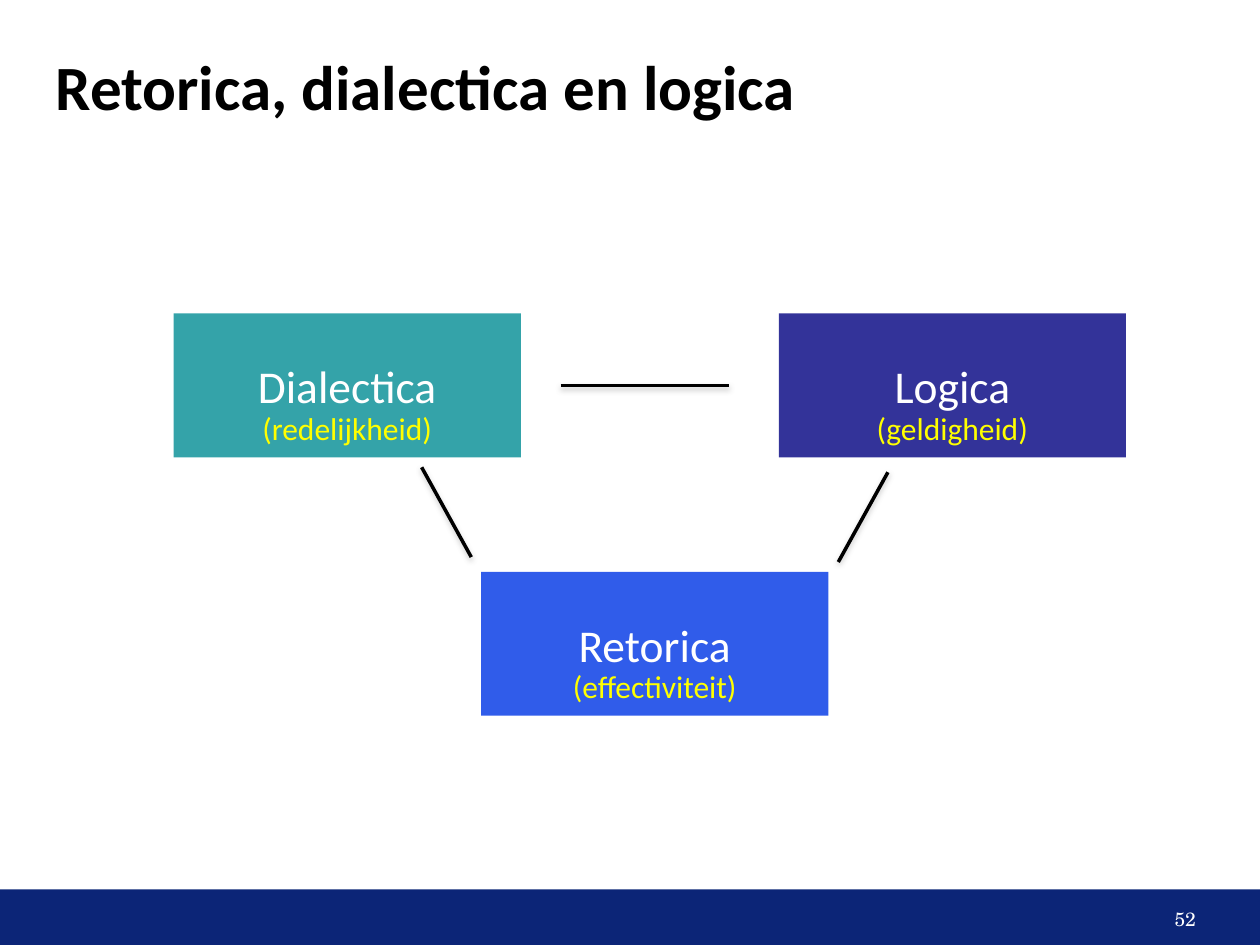
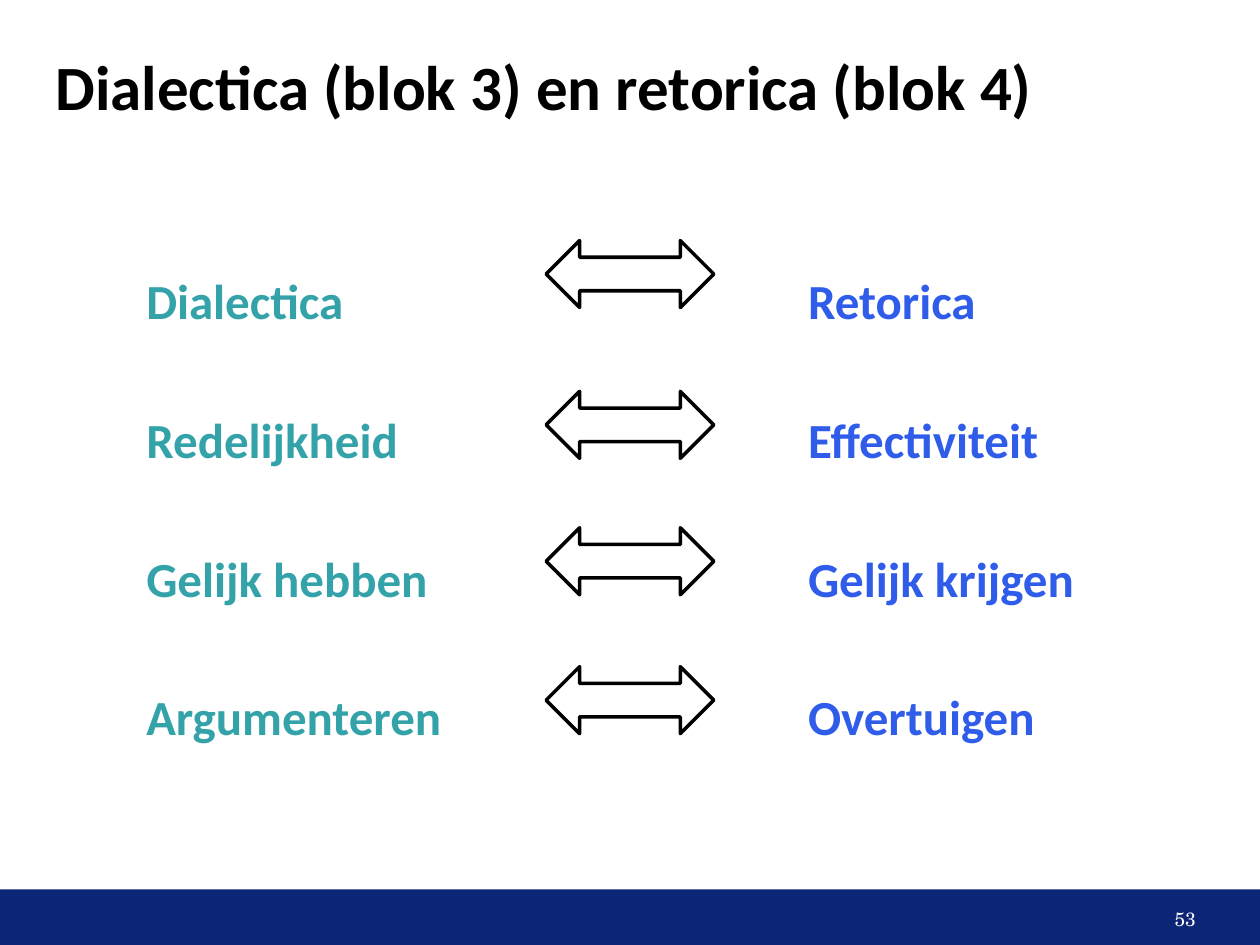
from dataclasses import dataclass

import lxml.etree
import pptx
import pptx.dml.color
import pptx.enum.shapes
import pptx.enum.text
import pptx.oxml
import pptx.oxml.ns
import pptx.util

Cm = pptx.util.Cm
Pt = pptx.util.Pt
PP_ALIGN = pptx.enum.text.PP_ALIGN
MSO_ANCHOR = pptx.enum.text.MSO_ANCHOR
MSO_SHAPE = pptx.enum.shapes.MSO_SHAPE


@dataclass(frozen=True)
class Theme:
    font: str = "Calibri"
    number_font: str = "TeX Gyre Schola"
    black: str = "000000"
    white: str = "FFFFFF"
    band: str = "0C2577"
    dialectica: str = "34A3A9"
    retorica: str = "305CEA"
    logica: str = "333399"
    caption: str = "FFFF00"
    shadow: str = "808080"
    title_size: int = 36
    row_size: int = 28
    box_size: int = 26
    caption_size: int = 18
    number_size: int = 11
    line_width: int = 2


THEME = Theme()
SLIDE_W, SLIDE_H = 25.4, 19.05
TITLE_BOX = (1.12, 1.12, 23.14, 1.2)
BAND_BOX = (0, 17.93, SLIDE_W, 1.12)
NUMBER_BOX = (18.57, 17.93, 5.72, 1.17)
DIAGRAM_BOX = (3.5, 6.32, 19.2, 8.1)
CONTRAST_BOX = (2.95, 4.27, 22, 12.57)

NODE_W, NODE_H = 7, 2.9
NODES = [
    ("Logica", "(geldigheid)", THEME.logica, 12.2, 0),
    ("Retorica", "(effectiviteit)", THEME.retorica, 6.2, 5.21),
    ("Dialectica", "(redelijkheid)", THEME.dialectica, 0, 0),
]
LINKS = [
    (7.8, 1.45, 11.2, 1.45),
    (14.4, 3.2, 13.4, 5.01),
    (5, 3.1, 6, 4.91),
]
CONTRASTS = [
    ("Dialectica", "Retorica", 0.58),
    ("Redelijkheid", "Effectiviteit", 3.62),
    ("Gelijk hebben", "Gelijk krijgen", 6.37),
    ("Argumenteren", "Overtuigen", 9.17),
]
ARROW_X, ARROW_W, ARROW_H = 8.06, 3.38, 1.35
RIGHT_COLUMN = 13.34


def rgb(value):
    return pptx.dml.color.RGBColor.from_string(value)


def lengths(*values):
    return [Cm(v) for v in values]


def set_all(target, formats):
    for name, value in formats.items():
        setattr(target, name, value)


def set_margins(tf, left=0, top=0, right=0, bottom=0):
    set_all(tf, {
        "margin_left": Cm(left), "margin_top": Cm(top),
        "margin_right": Cm(right), "margin_bottom": Cm(bottom),
    })


def add_run(p, text, size, color, bold=False, font=THEME.font):
    r = p.add_run()
    r.text = text
    set_all(r.font, {"name": font, "size": Pt(size), "bold": bold})
    r.font.color.rgb = rgb(color)


def add_filled(s, preset, box, fill, line=None):
    sp = s.shapes.add_shape(preset, *lengths(*box))
    sp.shadow.inherit = False
    sp.fill.solid()
    sp.fill.fore_color.rgb = rgb(fill)
    if line:
        sp.line.color.rgb = rgb(line)
        sp.line.width = Pt(THEME.line_width)
    else:
        sp.line.fill.background()
    return sp


def add_text(s, box, **formats):
    tf = s.shapes.add_textbox(*lengths(*box)).text_frame
    set_all(tf, {"word_wrap": True, **formats})
    return tf


def add_link(s, ends):
    c = s.shapes.add_connector(
        pptx.enum.shapes.MSO_CONNECTOR.STRAIGHT, *lengths(*ends))
    c.line.color.rgb = rgb(THEME.black)
    c.line.width = Pt(THEME.line_width)
    qn = pptx.oxml.ns.qn
    effects = lxml.etree.SubElement(c._element.spPr, qn("a:effectLst"))
    shadow = lxml.etree.SubElement(
        effects, qn("a:outerShdw"), blurRad=str(Pt(3.1)), dist=str(Pt(1.6)),
        dir="5400000", rotWithShape="0")
    color = lxml.etree.SubElement(shadow, qn("a:srgbClr"), val=THEME.shadow)
    lxml.etree.SubElement(color, qn("a:alpha"), val="38000")


def add_title(s, box, text):
    sp = s.shapes.title
    names = ("left", "top", "width", "height")
    set_all(sp, dict(zip(names, lengths(*box))))
    tf = sp.text_frame
    set_margins(tf)
    set_all(tf, {
        "word_wrap": True,
        "vertical_anchor": MSO_ANCHOR.MIDDLE,
        "auto_size": pptx.enum.text.MSO_AUTO_SIZE.NONE,
    })
    p = tf.paragraphs[0]
    p.alignment = PP_ALIGN.LEFT
    add_run(p, text, THEME.title_size, THEME.black, bold=True)


def add_footer(s, number):
    add_filled(s, MSO_SHAPE.RECTANGLE, BAND_BOX, THEME.band)
    tf = add_text(s, NUMBER_BOX, vertical_anchor=MSO_ANCHOR.MIDDLE)
    set_margins(tf, 0.18, 0.1, 0.18, 0.1)
    p = tf.paragraphs[0]
    p.alignment = PP_ALIGN.RIGHT
    add_run(p, str(number), THEME.number_size, THEME.white,
            font=THEME.number_font)


def add_node(s, box, name, caption, fill):
    x, y, w, h = box
    tf = add_filled(s, MSO_SHAPE.RECTANGLE, box, fill).text_frame
    set_margins(tf, top=0.9)
    tf.vertical_anchor = MSO_ANCHOR.TOP
    label = add_text(s, (x, y + 1.8, w, 1))
    for frame, text, size, color in (
        (tf, name, THEME.box_size, THEME.white),
        (label, caption, THEME.caption_size, THEME.caption),
    ):
        p = frame.paragraphs[0]
        p.alignment = PP_ALIGN.CENTER
        add_run(p, text, size, color)


def add_diagram(s, box):
    x, y = box[:2]
    for name, caption, fill, dx, dy in NODES:
        add_node(s, (x + dx, y + dy, NODE_W, NODE_H), name, caption, fill)
    for x1, y1, x2, y2 in LINKS:
        add_link(s, (x + x1, y + y1, x + x2, y + y2))


def add_tab_stop(p, position):
    qn = pptx.oxml.ns.qn
    tabs = lxml.etree.SubElement(p._p.get_or_add_pPr(), qn("a:tabLst"))
    lxml.etree.SubElement(tabs, qn("a:tab"), pos=str(Cm(position)), algn="l")


def add_contrasts(s, box):
    x, y = box[:2]
    tf = add_text(s, box)
    set_margins(tf)
    for i, (left, right, arrow_y) in enumerate(CONTRASTS):
        p = tf.add_paragraph() if i else tf.paragraphs[0]
        add_tab_stop(p, RIGHT_COLUMN)
        set_all(p, {
            "line_spacing": 2.0,
            "space_before": Pt(6 if i else 0),
            "space_after": Pt(6),
        })
        add_run(p, left + "\t", THEME.row_size, THEME.dialectica, bold=True)
        add_run(p, right, THEME.row_size, THEME.retorica, bold=True)
        add_filled(s, MSO_SHAPE.LEFT_RIGHT_ARROW,
                   (x + ARROW_X, y + arrow_y, ARROW_W, ARROW_H),
                   THEME.white, THEME.black)


def add_slide(prs, number, title, add_body, box):
    s = prs.slides.add_slide(prs.slide_layouts.get_by_name("Title Only"))
    add_footer(s, number)
    add_title(s, TITLE_BOX, title)
    add_body(s, box)


def main():
    prs = pptx.Presentation()
    prs.slide_width, prs.slide_height = lengths(SLIDE_W, SLIDE_H)
    add_slide(prs, 52, "Retorica, dialectica en logica",
              add_diagram, DIAGRAM_BOX)
    add_slide(prs, 53, "Dialectica (blok 3) en retorica (blok 4)",
              add_contrasts, CONTRAST_BOX)
    prs.save("out.pptx")


if __name__ == "__main__":
    main()
